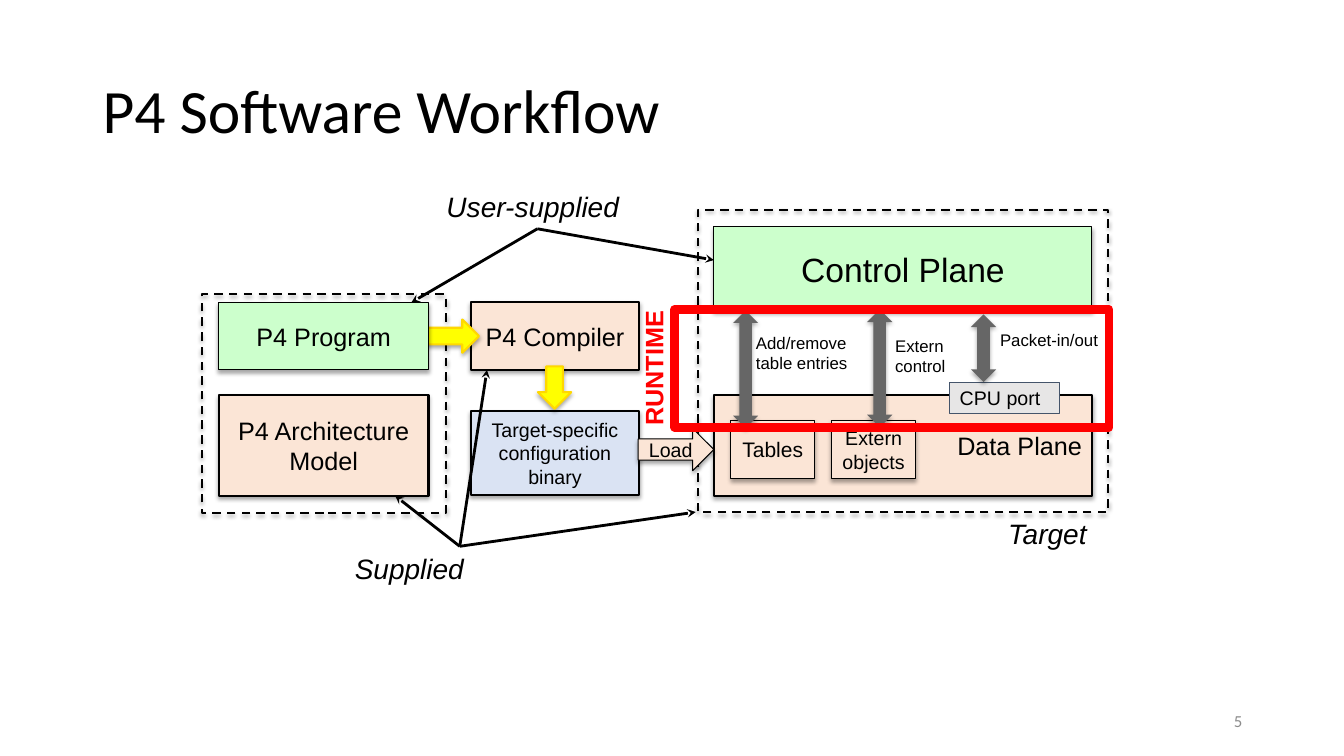
from dataclasses import dataclass

from lxml.etree import SubElement
from pptx import Presentation
from pptx.dml.color import RGBColor
from pptx.enum.dml import MSO_LINE
from pptx.enum.shapes import MSO_CONNECTOR, MSO_SHAPE
from pptx.enum.text import MSO_ANCHOR, PP_ALIGN
from pptx.oxml.ns import qn
from pptx.util import Inches, Pt

BLACK, RED, GRAY = "000000", "FF0000", "666666"
PEACH, GREEN, YELLOW, GOLD = "FBE5D6", "CCFFCC", "FFFF00", "FFD800"
RECT, ARROW = MSO_SHAPE.RECTANGLE, MSO_SHAPE.RIGHT_ARROW
LEFT, CENTER, RIGHT = PP_ALIGN.LEFT, PP_ALIGN.CENTER, PP_ALIGN.RIGHT
TOP, MIDDLE = MSO_ANCHOR.TOP, MSO_ANCHOR.MIDDLE


@dataclass
class Text:
    paragraphs: list[str]
    size: float
    align: PP_ALIGN = CENTER
    anchor: MSO_ANCHOR = MIDDLE
    color: str = BLACK
    font: str = "Arial"
    bold: bool = False
    italic: bool = False
    inset: float = 0.05
    spacing: float = 1.0


@dataclass
class Block:
    at: tuple[float, float, float, float]
    fill: str | None = None
    line: str | None = BLACK
    width: float = 1.5
    text: Text | None = None
    kind: MSO_SHAPE = RECT
    dashed: bool = False
    shadow: bool = True
    rotation: float = 0


@dataclass
class Label:
    at: tuple[float, float, float, float]
    text: Text
    rotation: float = 0


@dataclass
class Pointer:
    start: tuple[float, float]
    end: tuple[float, float]


def rgb(color: str) -> RGBColor:
    return RGBColor.from_string(color)


def write(box, text: Text) -> None:
    frame = box.text_frame
    frame.word_wrap = True
    frame.vertical_anchor = text.anchor
    frame.margin_left = frame.margin_right = Inches(0.1)
    frame.margin_top = frame.margin_bottom = Inches(text.inset)
    for number, content in enumerate(text.paragraphs):
        para = frame.add_paragraph() if number else frame.paragraphs[0]
        para.alignment = text.align
        para.line_spacing = text.spacing
        for row, words in enumerate(content.split("\n")):
            if row:
                para.add_line_break()
            span = para.add_run()
            span.text = words
            span.font.name = text.font
            span.font.size = Pt(text.size)
            span.font.bold = text.bold
            span.font.italic = text.italic
            span.font.color.rgb = rgb(text.color)


def add_soft_shadow(box) -> None:
    effects = box.element.spPr.find(qn("a:effectLst"))
    shadow = SubElement(effects, qn("a:outerShdw"), blurRad=str(Pt(3.1)),
                        dist=str(Pt(1.8)), dir="5400000", rotWithShape="0")
    color = SubElement(shadow, qn("a:srgbClr"), val=BLACK)
    SubElement(color, qn("a:alpha"), val="34000")


def draw_block(page, block: Block) -> None:
    box = page.shapes.add_shape(block.kind, *map(Inches, block.at))
    box.rotation = block.rotation
    box.shadow.inherit = False
    if block.shadow:
        add_soft_shadow(box)
    if block.fill:
        box.fill.solid()
        box.fill.fore_color.rgb = rgb(block.fill)
    else:
        box.fill.background()
    if block.line:
        box.line.color.rgb = rgb(block.line)
        box.line.width = Pt(block.width)
        if block.dashed:
            box.line.dash_style = MSO_LINE.DASH
    else:
        box.line.fill.background()
    if block.text:
        write(box, block.text)


def draw_label(page, label: Label) -> None:
    box = page.shapes.add_textbox(*map(Inches, label.at))
    box.rotation = label.rotation
    write(box, label.text)


def draw_pointer(page, pointer: Pointer) -> None:
    line = page.shapes.add_connector(MSO_CONNECTOR.STRAIGHT, *map(Inches, pointer.start + pointer.end))
    line.line.color.rgb = rgb(BLACK)
    line.line.width = Pt(2)
    SubElement(line.line._get_or_add_ln(), qn("a:tailEnd"), type="stealth")
    SubElement(line.element.spPr, qn("a:effectLst"))


def caption(words: str) -> Text:
    return Text([words], 20, LEFT, TOP, italic=True)


def note(words: str) -> Text:
    return Text([words], 12, LEFT, TOP, inset=0.1)


def exchange(left: float, top: float, height: float) -> Block:
    return Block((left, top, 0.25, height), GRAY, None, kind=MSO_SHAPE.UP_DOWN_ARROW)


SUPPLIED_ORIGIN = (4.56, 5.42)
USER_ORIGIN = (5.33, 2.27)

# Everything on the page, from back to front
PARTS = [
    Label((0.92, 0.4, 11.5, 1.45),
          Text(["P4 Software Workflow"], 44, LEFT, font="Calibri", spacing=0.9)),
    Label((9.42, 6.95, 3, 0.4), Text(["5"], 12, RIGHT, color="8C8C8C", font="Calibri")),
    # Source and target groups
    Block((2, 2.92, 2.42, 2.17), dashed=True),
    Block((6.92, 2.08, 4.07, 3), dashed=True),
    # Compilation
    Block((2.17, 3.92, 2.08, 1), PEACH, text=Text(["P4 Architecture", "Model"], 18)),
    Block((4.67, 3, 1.67, 0.67), PEACH, text=Text(["P4 Compiler"], 18)),
    Block((4.17, 3.17, 0.58, 0.33), YELLOW, GOLD, kind=ARROW),
    Block((4.67, 4.08, 1.67, 0.83), "DAE3F3",
          text=Text(["Target-specific configuration binary"], 14)),
    Block((5.29, 3.68, 0.42, 0.33), YELLOW, GOLD, kind=ARROW, rotation=90),
    # Data plane
    Block((7.08, 3.92, 3.75, 1), PEACH, text=Text(["Data Plane"], 18, RIGHT)),
    Block((7.25, 4.17, 0.83, 0.58), PEACH, width=0.75, text=Text(["Tables"], 15)),
    Block((8.25, 4.17, 0.83, 0.58), PEACH, width=0.75, text=Text(["Extern", "objects"], 14)),
    Block((6.33, 4.25, 0.75, 0.42), PEACH, width=0.75, text=Text(["Load"], 14), kind=ARROW),
    # Supplied parts
    Label((9.9, 5.08, 1.09, 0.44), caption("Target")),
    Label((3.42, 5.42, 2.29, 0.44), caption("Supplied")),
    Pointer(SUPPLIED_ORIGIN, (3.92, 4.92)),
    Pointer(SUPPLIED_ORIGIN, (4.83, 3.67)),
    Pointer(SUPPLIED_ORIGIN, (6.9, 5.08)),
    # User-supplied parts
    Block((2.17, 3, 2.08, 0.67), GREEN, width=0.75, text=Text(["P4 Program"], 18)),
    Label((4.33, 1.83, 1.99, 0.44), caption("User-supplied")),
    Pointer(USER_ORIGIN, (4.08, 3)),
    Block((7.08, 2.25, 3.75, 0.83), GREEN, width=0.75, text=Text(["Control Plane"], 24)),
    # Runtime exchanges
    exchange(7.27, 3.08, 1.17),
    exchange(8.6, 3.07, 1.17),
    Pointer(USER_ORIGIN, (7.08, 2.58)),
    Label((7.4, 3.2, 1.17, 0.55), note("Add/remove\ntable entries")),
    Block((9.42, 3.79, 1.09, 0.31), "E7E6E6", "44546A", 0.75,
          Text(["CPU port"], 14, LEFT, inset=0.1), shadow=False),
    exchange(9.63, 3.12, 0.67),
    Label((9.82, 3.17, 1.35, 0.55), note("Packet-in/out")),
    Label((8.78, 3.23, 0.83, 0.55), note("Extern\ncontrol")),
    Label((5.71, 3.3, 1.54, 0.5),
          Text(["RUNTIME"], 18, LEFT, TOP, RED, bold=True, inset=0.1), rotation=270),
    Block((6.69, 3.07, 4.31, 1.17), line=RED, width=6, shadow=False),
]


def main() -> None:
    deck = Presentation()
    deck.slide_width, deck.slide_height = Inches(13.33), Inches(7.5)
    page = deck.slides.add_slide(deck.slide_layouts[6])
    draw = {Block: draw_block, Label: draw_label, Pointer: draw_pointer}
    for part in PARTS:
        draw[type(part)](page, part)
    deck.save("out.pptx")


if __name__ == "__main__":
    main()
